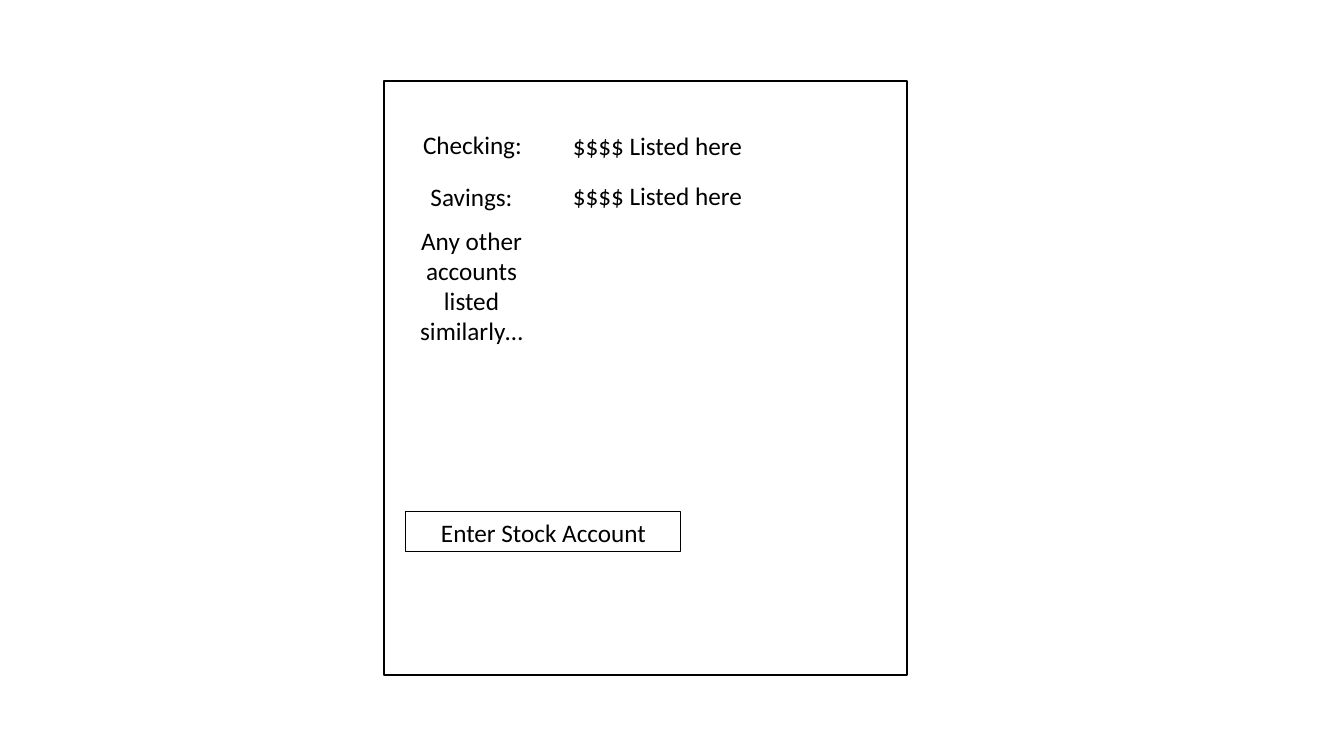
from dataclasses import dataclass

from pptx import Presentation
from pptx.dml.color import RGBColor
from pptx.enum.shapes import MSO_SHAPE
from pptx.enum.text import MSO_AUTO_SIZE, PP_ALIGN
from pptx.util import Pt

RECT = MSO_SHAPE.RECTANGLE
LEFT, CENTER = PP_ALIGN.LEFT, PP_ALIGN.CENTER
GROW = MSO_AUTO_SIZE.SHAPE_TO_FIT_TEXT
SCALE = 914400 / 100.8


@dataclass(frozen=True)
class Theme:
    """Colours, font and sizes of the slide."""
    ink: RGBColor = RGBColor(0, 0, 0)
    paper: RGBColor = RGBColor(255, 255, 255)
    font: str = "Calibri"
    size: float = 18
    frame: float = 1
    edge: float = 0.75


THEME = Theme()


def emu(*pixels):
    """Turn pixels into EMU."""
    return [round(p * SCALE) for p in pixels]


def outline(shape, width):
    """Give a shape a solid ink line."""
    shape.line.color.rgb = THEME.ink
    shape.line.width = Pt(width)


def panel(slide, box):
    """Draw the framed page."""
    shape = slide.shapes.add_shape(RECT, *emu(*box))
    shape.shadow.inherit = False
    shape.fill.solid()
    shape.fill.fore_color.rgb = THEME.paper
    outline(shape, THEME.frame)


def label(slide, box, text, align=CENTER):
    """Add a wrapped line of text and return its box."""
    shape = slide.shapes.add_textbox(*emu(*box))
    frame = shape.text_frame
    for name, value in {"word_wrap": True, "auto_size": GROW}.items():
        setattr(frame, name, value)
    para = frame.paragraphs[0]
    para.alignment = align
    run = para.add_run()
    run.text = text
    for name, value in {"name": THEME.font, "size": Pt(THEME.size)}.items():
        setattr(run.font, name, value)
    run.font.color.rgb = THEME.ink
    return shape


def button(slide, box, text):
    """Add an outlined label."""
    outline(label(slide, box, text), THEME.edge)


def main():
    """Build the accounts page and save it."""
    deck = Presentation()
    deck.slide_width, deck.slide_height = emu(1344, 756)
    slide = deck.slides.add_slide(deck.slide_layouts[6])
    panel(slide, (384, 81, 523, 594))
    rows = [("Checking:", 393, 124, 125), ("Savings:", 392, 176, 175)]
    for name, left, top, level in rows:
        label(slide, (left, top, 159, 40), name)
        label(slide, (563, level, 294, 40), "$$$$ Listed here", LEFT)
    label(slide, (392, 220, 159, 132), "Any other accounts listed similarly…")
    button(slide, (406, 512, 275, 40), "Enter Stock Account")
    deck.save("out.pptx")


main()
